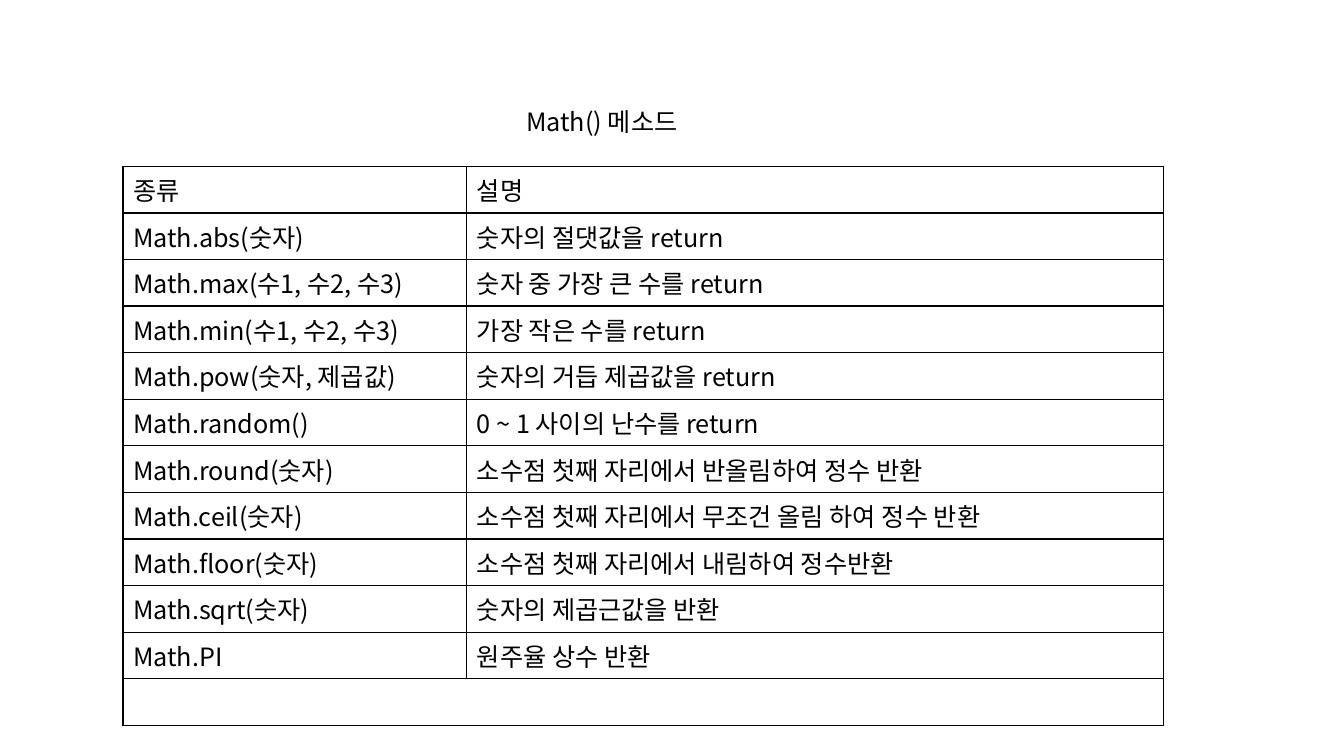
"""Build the slide that lists the methods of Math."""
from typing import NamedTuple

from lxml.etree import SubElement
from pptx import Presentation
from pptx.dml.color import RGBColor
from pptx.enum.text import MSO_AUTO_SIZE as AutoSize
from pptx.oxml.ns import qn
from pptx.util import Inches, Pt

COLORS = {"ink": "000000", "paper": "FFFFFF"}
FONT = "Noto Sans CJK KR"
ROW_HEIGHT = 0.46
COLUMN_WIDTHS = (3.41, 6.91)


class Method(NamedTuple):
    """One table row: a call and what it does."""

    call: str
    meaning: str


METHODS = [
    Method("종류", "설명"),
    Method("Math.abs(숫자)", "숫자의 절댓값을 return"),
    Method("Math.max(수1, 수2, 수3)", "숫자 중 가장 큰 수를 return"),
    Method("Math.min(수1, 수2, 수3)", "가장 작은 수를 return"),
    Method("Math.pow(숫자, 제곱값)", "숫자의 거듭 제곱값을 return"),
    Method("Math.random()", "0 ~ 1 사이의 난수를 return"),
    Method("Math.round(숫자)", "소수점 첫째 자리에서 반올림하여 정수 반환"),
    Method("Math.ceil(숫자)", "소수점 첫째 자리에서 무조건 올림 하여 정수 반환"),
    Method("Math.floor(숫자)", "소수점 첫째 자리에서 내림하여 정수반환"),
    Method("Math.sqrt(숫자)", "숫자의 제곱근값을 반환"),
    Method("Math.PI", "원주율 상수 반환"),
]


def write(frame, text: str) -> None:
    """Set the text of a frame and format its runs."""
    frame.text = text
    for run in frame.paragraphs[0].runs:
        run.font.size = Pt(18)
        run.font.name = FONT
        run.font.color.rgb = RGBColor.from_string(COLORS["ink"])
        SubElement(run.font._element, qn("a:ea"), typeface=FONT)


def style_cell(cell) -> None:
    """Give a cell a plain fill and thin borders on all sides."""
    properties = cell._tc.get_or_add_tcPr()
    for side in ("lnL", "lnR", "lnT", "lnB"):
        border = SubElement(properties, qn(f"a:{side}"), w=str(Pt(1)))
        line_fill = SubElement(border, qn("a:solidFill"))
        SubElement(line_fill, qn("a:srgbClr"), val=COLORS["ink"])
    cell.fill.solid()
    cell.fill.fore_color.rgb = RGBColor.from_string(COLORS["paper"])


def add_method_table(slide, methods: list[Method]) -> None:
    """Draw the methods, closed by one empty row across both columns."""
    row_count = len(methods) + 1
    table = slide.shapes.add_table(
        row_count, len(COLUMN_WIDTHS), Inches(1.22), Inches(1.65),
        Inches(sum(COLUMN_WIDTHS)), Inches(ROW_HEIGHT * row_count),
    ).table
    table.first_row = table.horz_banding = False
    for column, width in zip(table.columns, COLUMN_WIDTHS):
        column.width = Inches(width)
    for row in table.rows:
        row.height = Inches(ROW_HEIGHT)
    for cell in table.iter_cells():
        style_cell(cell)
    for row, method in zip(table.rows, methods):
        for cell, text in zip(row.cells, method):
            write(cell.text_frame, text)
    closing_row = row_count - 1
    table.cell(closing_row, 0).merge(table.cell(closing_row, 1))


def add_heading(slide, text: str) -> None:
    """Draw the heading above the table."""
    heading = slide.shapes.add_textbox(
        Inches(5.12), Inches(1.01), Inches(1.8), Inches(0.4)
    ).text_frame
    heading.word_wrap = False
    heading.auto_size = AutoSize.SHAPE_TO_FIT_TEXT
    write(heading, text)


def main() -> None:
    """Create the presentation and save it."""
    deck = Presentation()
    deck.slide_width, deck.slide_height = Inches(13.33), Inches(7.5)
    slide = deck.slides.add_slide(deck.slide_layouts[6])
    add_method_table(slide, METHODS)
    add_heading(slide, "Math() 메소드")
    deck.save("out.pptx")


if __name__ == "__main__":
    main()
